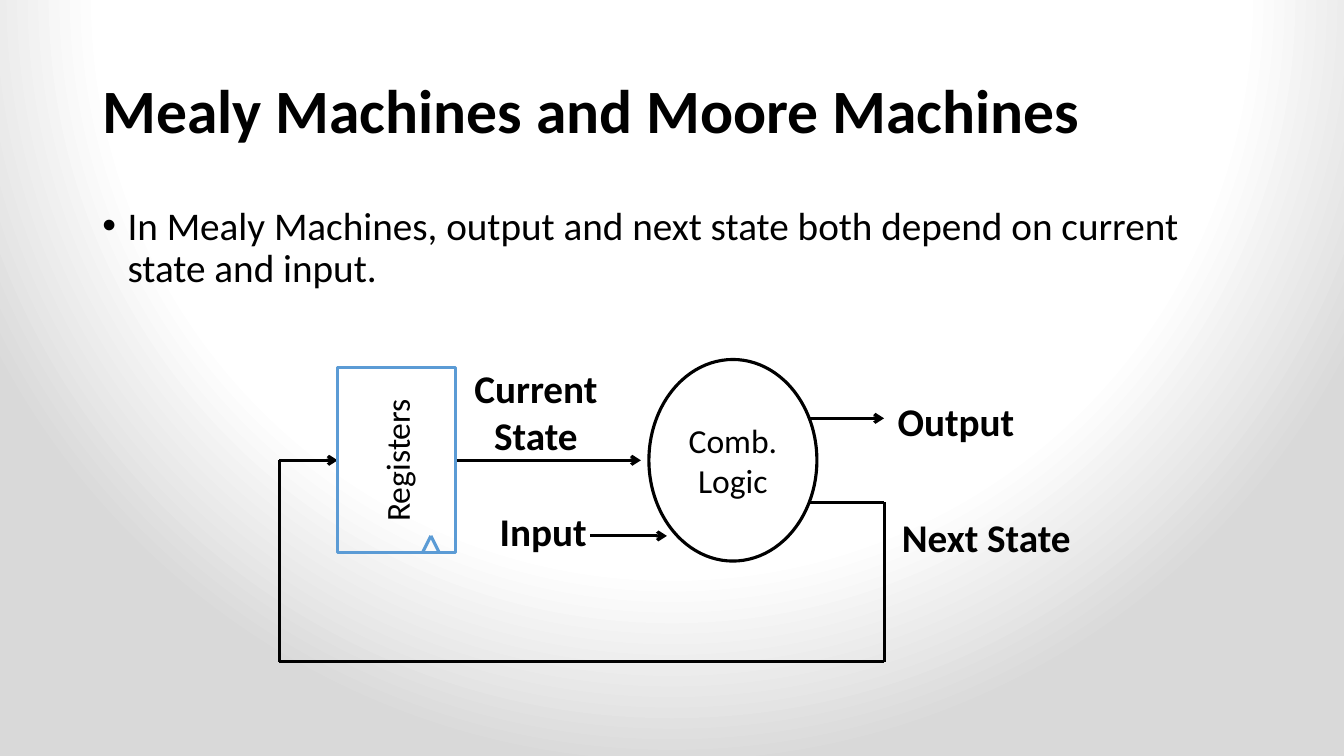
from lxml import etree
from pptx import Presentation
from pptx.dml.color import RGBColor
from pptx.enum.shapes import MSO_CONNECTOR, MSO_SHAPE
from pptx.enum.text import MSO_ANCHOR, PP_ALIGN
from pptx.oxml import parse_xml
from pptx.oxml.ns import nsdecls, qn
from pptx.util import Inches, Pt

STRAIGHT = MSO_CONNECTOR.STRAIGHT
ELLIPSE, RECTANGLE = MSO_SHAPE.OVAL, MSO_SHAPE.RECTANGLE
LEFT, CENTER = PP_ALIGN.LEFT, PP_ALIGN.CENTER
TOP, MIDDLE = MSO_ANCHOR.TOP, MSO_ANCHOR.MIDDLE

BLACK = RGBColor(0x00, 0x00, 0x00)
BLUE = RGBColor(0x5B, 0x9B, 0xD5)
WHITE = RGBColor(0xFF, 0xFF, 0xFF)
GREY = RGBColor(0xD9, 0xD9, 0xD9)

# Grid of 160 columns by 90 rows
COLUMNS, ROWS = 160, 90
WIDTH, HEIGHT = Inches(13.333), Inches(7.5)


def write(frame, text, size=28, bold=False, align=LEFT, anchor=TOP,
          line_spacing=None, bullet=False):
    """Fill a text frame with one formatted paragraph."""
    frame.word_wrap = True
    frame.vertical_anchor = anchor
    para = frame.paragraphs[0]
    para.text = text
    para.alignment = align
    para.line_spacing = line_spacing
    for span in para.runs:
        span.font.name = "Calibri"
        span.font.size = Pt(size)
        span.font.bold = bold
        span.font.color.rgb = BLACK
    if bullet:
        properties = para._p.get_or_add_pPr()
        properties.set("marL", str(Inches(0.25)))
        properties.set("indent", str(-Inches(0.25)))
        etree.SubElement(properties, qn("a:buFont")).set("typeface", "Arial")
        etree.SubElement(properties, qn("a:buChar")).set("char", "•")
        para.space_before = Pt(10)


class Diagram:
    """Draws on one page, with lengths in grid columns and rows."""

    line_width = Pt(2.25)

    def __init__(self, page):
        self.page = page

    def place(self, *lengths):
        units = (WIDTH / COLUMNS, HEIGHT / ROWS)
        return [round(length * units[i % 2]) for i, length in enumerate(lengths)]

    def background(self, stops):
        marks = "".join(f'<a:gs pos="{share * 1000}"><a:srgbClr val="{color}"/></a:gs>'
                        for share, color in stops)
        gradient = parse_xml(
            f'<a:gradFill {nsdecls("a")} rotWithShape="1"><a:gsLst>{marks}</a:gsLst>'
            '<a:path path="circle"><a:fillToRect l="50000" t="-80000" r="50000" '
            'b="180000"/></a:path></a:gradFill>')
        fill = self.page.background.fill
        fill.solid()
        properties = self.page._element.cSld.bg.bgPr
        properties.replace(properties.find(qn("a:solidFill")), gradient)

    def label(self, text, left, top, width, height, **style):
        box = self.page.shapes.add_textbox(*self.place(left, top, width, height))
        write(box.text_frame, text, **style)

    def block(self, kind, text, left, top, width, height, color, turn=None):
        shape = self.page.shapes.add_shape(kind, *self.place(left, top, width, height))
        shape.shadow.inherit = False
        shape.fill.background()
        shape.line.color.rgb = color
        shape.line.width = self.line_width
        write(shape.text_frame, text, size=24, align=CENTER, anchor=MIDDLE)
        if turn:
            shape.text_frame._txBody.bodyPr.set("vert", turn)

    def line(self, start, end, color=BLACK, arrow=False):
        wire = self.page.shapes.add_connector(STRAIGHT, *self.place(*start, *end))
        wire.line.color.rgb = color
        wire.line.width = self.line_width
        if arrow:
            etree.SubElement(wire.line._get_or_add_ln(), qn("a:tailEnd")).set("type", "arrow")
        etree.SubElement(wire._element.spPr, qn("a:effectLst"))


def main():
    deck = Presentation()
    deck.slide_width, deck.slide_height = WIDTH, HEIGHT
    diagram = Diagram(deck.slides.add_slide(deck.slide_layouts[6]))
    diagram.background([(0, WHITE), (74, WHITE), (100, GREY)])

    # Title and statement
    diagram.label("Mealy Machines and Moore Machines", 11, 4.8, 138, 17.4,
                  size=44, bold=True, anchor=MIDDLE, line_spacing=0.9)
    diagram.label("In Mealy Machines, output and next state both depend on current "
                  "state and input.", 11, 24, 138, 57.1, line_spacing=0.9, bullet=True)

    # Key columns and rows of the circuit
    loop_left, loop_right = 33.25, 105.25
    register_left, register_width, register_height = 40.2, 14, 22
    logic_left, logic_width, logic_height = 77.25, 20, 24
    logic_exit = 96.25
    axis = 54.8
    output_row, next_row, input_row, loop_row = axis - 5, axis + 5, axis + 9, axis + 24
    register_bottom = axis + register_height / 2

    # Feedback loop from next state to registers
    loop = [(logic_exit, next_row), (loop_right, next_row), (loop_right, loop_row),
            (loop_left, loop_row), (loop_left, axis), (register_left, axis)]
    for start, end in zip(loop, loop[1:]):
        diagram.line(start, end, arrow=end == loop[-1])

    # Current state, input and output arrows
    diagram.line((register_left + register_width, axis), (76.3, axis), arrow=True)
    diagram.line((70.3, input_row), (79.4, input_row), arrow=True)
    diagram.line((logic_exit, output_row), (loop_right, output_row), arrow=True)

    # Signal names
    for text, left, top, width, height, align in [
            ("Current State", 52.3, 42.8, 23, 12.5, CENTER),
            ("Input", 58.3, 59.8, 15, 6.8, LEFT),
            ("Output", 101.3, 46.7, 25, 6.8, CENTER),
            ("Next State", 106.2, 60.5, 25, 6.8, LEFT)]:
        diagram.label(text, left, top, width, height, bold=True, align=align)

    # Combinational logic and registers
    diagram.block(ELLIPSE, "Comb.\nLogic", logic_left, axis - logic_height / 2,
                  logic_width, logic_height, BLACK)
    diagram.block(RECTANGLE, "Registers", register_left, axis - register_height / 2,
                  register_width, register_height, BLUE, turn="vert270")

    # Clock mark
    for foot in (50.3, 52.3):
        diagram.line((foot, register_bottom), (51.3, register_bottom - 2), BLUE)

    deck.save("out.pptx")


if __name__ == "__main__":
    main()
